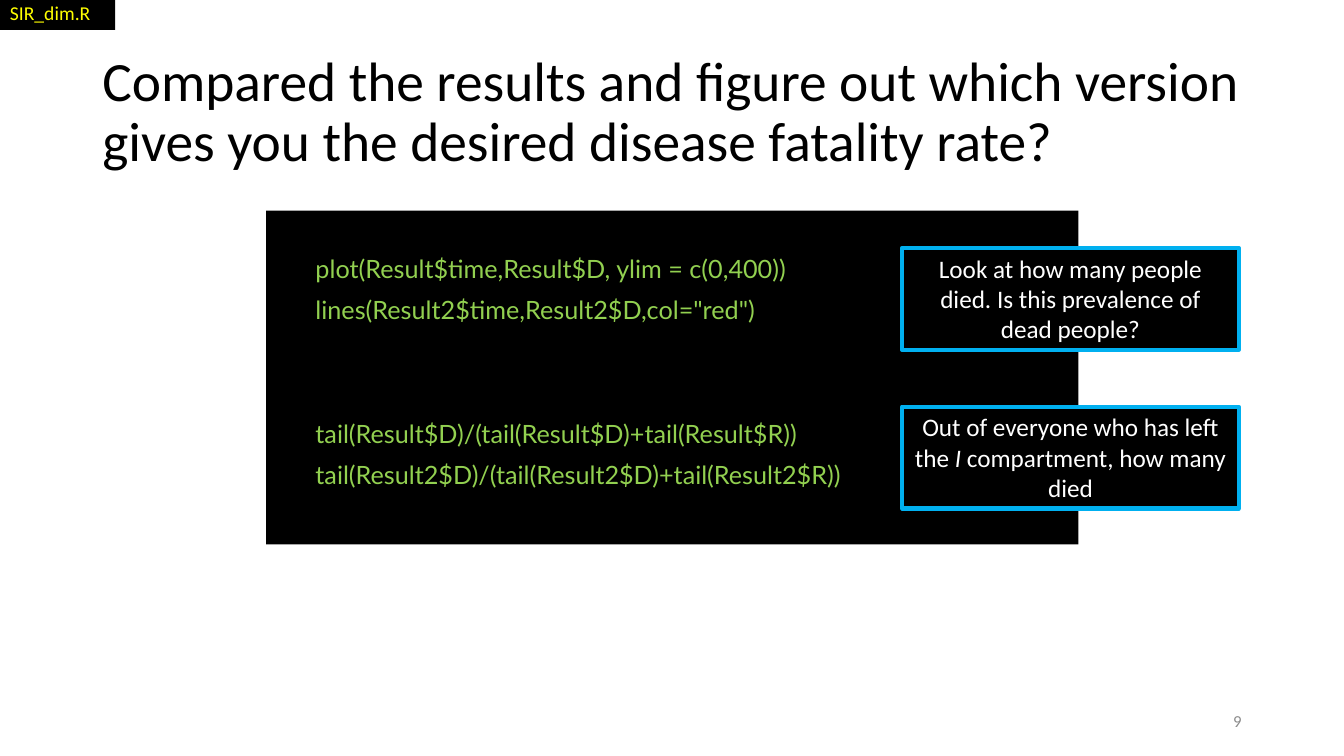
"""Build the slide that compares fatality rates from two SIR model versions."""
from pptx import Presentation
from pptx.dml.color import RGBColor
from pptx.enum.shapes import MSO_SHAPE
from pptx.enum.text import MSO_ANCHOR, MSO_AUTO_SIZE, PP_ALIGN
from pptx.util import Pt

RECTANGLE = MSO_SHAPE.RECTANGLE
TOP, MIDDLE = MSO_ANCHOR.TOP, MSO_ANCHOR.MIDDLE
LEFT, CENTER, RIGHT = PP_ALIGN.LEFT, PP_ALIGN.CENTER, PP_ALIGN.RIGHT
GROW = MSO_AUTO_SIZE.SHAPE_TO_FIT_TEXT

BLACK = RGBColor(0x00, 0x00, 0x00)
WHITE = RGBColor(0xFF, 0xFF, 0xFF)
GREEN = RGBColor(0x92, 0xD0, 0x50)
YELLOW = RGBColor(0xFF, 0xFF, 0x00)
BLUE = RGBColor(0x00, 0xB0, 0xF0)
GRAY = RGBColor(0x8C, 0x8C, 0x8C)

TITLE = "Compared the results and figure out which version gives you the desired disease fatality rate?"
FILE_NAME = "SIR_dim.R"
PAGE_NUMBER = "9"
CODE_GROUPS = [
    ["plot(Result$time,Result$D, ylim = c(0,400))",
     'lines(Result2$time,Result2$D,col="red")'],
    ["tail(Result$D)/(tail(Result$D)+tail(Result$R))",
     "tail(Result2$D)/(tail(Result2$D)+tail(Result2$R))"],
]
CALLOUTS = [
    [("Look at how many people died. Is this prevalence of dead people?", False)],
    [("Out of everyone who has left the ", False), ("I", True),
     (" compartment, how many died", False)],
]

CODE_SIZE = 18
CODE_GAP = 10
CODE_PITCH = CODE_SIZE * 1.2 * 0.9 + CODE_GAP
CALLOUT_TOP, CALLOUT_STEP = 177.1, 113.4


def set_font(para, size, color, name="Calibri"):
    para.font.size = Pt(size)
    para.font.name = name
    para.font.color.rgb = color


def add_panel(page, left, top, width, height):
    panel = page.shapes.add_shape(RECTANGLE, Pt(left), Pt(top), Pt(width), Pt(height))
    panel.shadow.inherit = False
    panel.fill.solid()
    panel.fill.fore_color.rgb = BLACK
    panel.line.fill.background()
    panel.text_frame.word_wrap = True
    panel.text_frame.vertical_anchor = TOP
    return panel


def add_label(page, left, top, width, height, text, size, color, align):
    frame = page.shapes.add_textbox(Pt(left), Pt(top), Pt(width), Pt(height)).text_frame
    frame.word_wrap = True
    frame.vertical_anchor = MIDDLE
    para = frame.paragraphs[0]
    para.text = text
    para.alignment = align
    set_font(para, size, color)
    return para


def add_code(page):
    frame = add_panel(page, 190.1, 150.5, 580.3, 238.3).text_frame
    frame.margin_left = Pt(35.3)
    frame.margin_top = Pt(3.6 + CODE_PITCH)
    for group_index, group in enumerate(CODE_GROUPS):
        for line_index, line in enumerate(group):
            first = group_index == line_index == 0
            para = frame.paragraphs[0] if first else frame.add_paragraph()
            para.text = line
            para.alignment = LEFT
            para.line_spacing = 0.9
            skipped = 2 if group_index and line_index == 0 else 0
            para.space_before = Pt(0 if first else CODE_GAP + skipped * CODE_PITCH)
            set_font(para, CODE_SIZE, GREEN, "Lato")


def add_callout(page, top, parts):
    callout = add_panel(page, 644.4, top, 240.5, 72.7)
    callout.line.color.rgb = BLUE
    callout.line.width = Pt(3)
    callout.text_frame.auto_size = GROW
    para = callout.text_frame.paragraphs[0]
    para.alignment = CENTER
    set_font(para, 18, WHITE)
    for text, italic in parts:
        span = para.add_run()
        span.text = text
        if italic:
            span.font.italic = True


def main():
    deck = Presentation()
    deck.slide_width, deck.slide_height = Pt(960), Pt(540)
    page = deck.slides.add_slide(deck.slide_layouts[6])

    title = add_label(page, 66, 28.75, 828, 104.4, TITLE, 39.6, BLACK, LEFT)
    title.line_spacing = 0.9
    add_code(page)

    tag = add_panel(page, 0, -2.9, 82.2, 24.2)
    tag.text_frame.auto_size = GROW
    para = tag.text_frame.paragraphs[0]
    para.text = FILE_NAME
    para.alignment = LEFT
    set_font(para, 14, YELLOW)

    for index, parts in enumerate(CALLOUTS):
        add_callout(page, CALLOUT_TOP + index * CALLOUT_STEP, parts)
    add_label(page, 678, 500.5, 216, 28.75, PAGE_NUMBER, 12, GRAY, RIGHT)
    deck.save("out.pptx")


if __name__ == "__main__":
    main()
